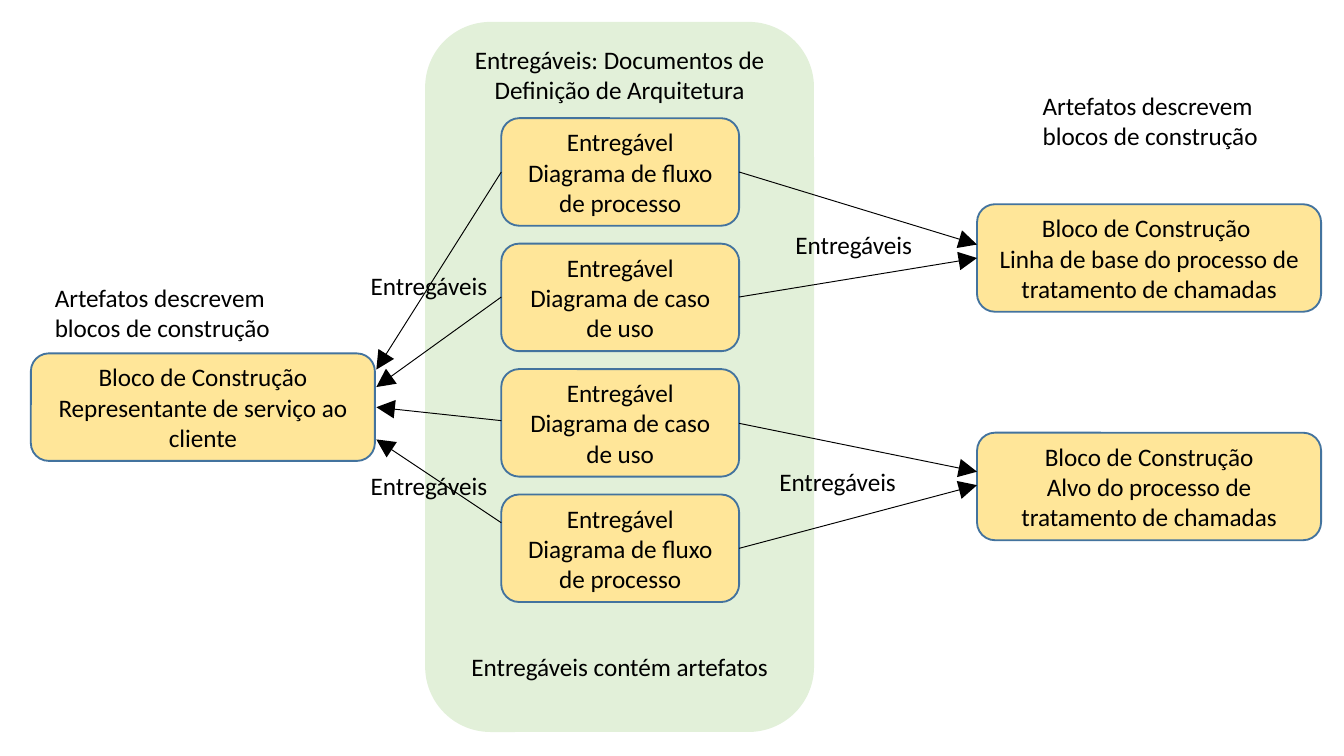
"""Build a slide relating architecture deliverables to building blocks."""
from lxml import etree
from pptx import Presentation
from pptx.dml.color import RGBColor
from pptx.enum.shapes import MSO_CONNECTOR, MSO_SHAPE
from pptx.enum.text import MSO_ANCHOR, MSO_AUTO_SIZE, PP_ALIGN
from pptx.oxml.ns import qn
from pptx.util import Inches, Pt

ROUNDED = MSO_SHAPE.ROUNDED_RECTANGLE
STRAIGHT = MSO_CONNECTOR.STRAIGHT
TOP, MIDDLE = MSO_ANCHOR.TOP, MSO_ANCHOR.MIDDLE
LEFT, CENTER = PP_ALIGN.LEFT, PP_ALIGN.CENTER
GROW = MSO_AUTO_SIZE.SHAPE_TO_FIT_TEXT

GREEN = RGBColor(0xE2, 0xF0, 0xD9)
YELLOW = RGBColor(0xFF, 0xE6, 0x99)
BLUE = RGBColor(0x43, 0x73, 0x9E)
BLACK = RGBColor(0, 0, 0)

SLIDE_WIDTH = 10
SLIDE_HEIGHT = SLIDE_WIDTH * 9 / 16

PANEL = (3.17, 0.17, 2.88, 5.27)
PANEL_TITLE = "Entregáveis: Documentos de Definição de Arquitetura"

FLOW = "Diagrama de fluxo de processo"
USE_CASE = "Diagrama de caso de uso"
ARTIFACTS = [FLOW, USE_CASE, USE_CASE, FLOW]

BLOCKS = [
    (0.23, 2.63, "Bloco de Construção", "Representante de serviço ao cliente"),
    (7.27, 1.52, "Bloco de Construção ",
     "Linha de base do processo de tratamento de chamadas"),
    (7.27, 3.22, "Bloco de Construção",
     "Alvo do processo de tratamento de chamadas"),
]

NOTE = ["Artefatos descrevem", "blocos de construção"]
LABEL = ["Entregáveis"]
CAPTIONS = [
    (0.31, 2.05, 1.83, NOTE),
    (7.66, 0.62, 1.83, NOTE),
    (3.41, 4.8, 2.44, ["Entregáveis contém artefatos"]),
    (2.66, 1.96, 1.09, LABEL),
    (5.82, 1.66, 1.09, LABEL),
    (5.7, 3.42, 1.09, LABEL),
    (2.66, 3.45, 1.09, LABEL),
]

ARTIFACT_LEFT, ARTIFACT_WIDTH = 3.73, 1.77
FIRST_TOP, LAST_TOP = 0.88, 3.68
ARTIFACT_STEP = (LAST_TOP - FIRST_TOP) / (len(ARTIFACTS) - 1)
BLOCK_WIDTH, BOX_HEIGHT = 2.56, 0.8
ARTIFACT_RIGHT = ARTIFACT_LEFT + ARTIFACT_WIDTH
LEFT_TARGET, RIGHT_TARGET = 2.8, 7.27
RIGHT_ARROWS = [(1.28, 1.82), (2.21, 1.92), (3.15, 3.51), (4.08, 3.61)]
LEFT_ARROWS = [(1.28, 2.75), (2.21, 2.88), (3.13, 3.03), (3.89, 3.27)]


def write(shape, lines, alignment, anchor):
    frame = shape.text_frame
    frame.vertical_anchor = anchor
    for index, line in enumerate(lines):
        paragraph = frame.add_paragraph() if index else frame.paragraphs[0]
        paragraph.alignment = alignment
        run = paragraph.add_run()
        run.text = line
        run.font.name = "Calibri"
        run.font.size = Pt(13.5)
        run.font.color.rgb = BLACK


def add_box(slide, bounds, fill, outline, lines, anchor=MIDDLE):
    shape = slide.shapes.add_shape(ROUNDED, *map(Inches, bounds))
    shape.shadow.inherit = False
    shape.fill.solid()
    shape.fill.fore_color.rgb = fill
    shape.line.color.rgb = outline
    shape.line.width = Pt(1)
    shape.text_frame.word_wrap = True
    write(shape, lines, CENTER, anchor)
    return shape


def add_caption(slide, left, top, width, lines):
    height = 0.1 + 0.23 * len(lines)
    box = slide.shapes.add_textbox(*map(Inches, (left, top, width, height)))
    box.text_frame.word_wrap = False
    box.text_frame.auto_size = GROW
    write(box, lines, LEFT, TOP)


def add_arrow(slide, *ends):
    arrow = slide.shapes.add_connector(STRAIGHT, *map(Inches, ends))
    arrow.line.color.rgb = BLACK
    arrow.line.width = Pt(0.5)
    properties = arrow.element.spPr
    etree.SubElement(properties.find(qn("a:ln")), qn("a:tailEnd"),
                     type="triangle", w="lg", len="lg")
    etree.SubElement(properties, qn("a:effectLst"))


def main():
    presentation = Presentation()
    presentation.slide_width = Inches(SLIDE_WIDTH)
    presentation.slide_height = Inches(SLIDE_HEIGHT)
    slide = presentation.slides.add_slide(presentation.slide_layouts[6])

    panel = add_box(slide, PANEL, GREEN, GREEN, [PANEL_TITLE], TOP)
    panel.text_frame.margin_top = Inches(0.02)
    for index, name in enumerate(ARTIFACTS):
        top = FIRST_TOP + index * ARTIFACT_STEP
        bounds = (ARTIFACT_LEFT, top, ARTIFACT_WIDTH, BOX_HEIGHT)
        add_box(slide, bounds, YELLOW, BLUE, ["Entregável", name])
    for left, top, *lines in BLOCKS:
        bounds = (left, top, BLOCK_WIDTH, BOX_HEIGHT)
        add_box(slide, bounds, YELLOW, BLUE, lines)
    for start, end in RIGHT_ARROWS:
        add_arrow(slide, ARTIFACT_RIGHT, start, RIGHT_TARGET, end)
    for start, end in LEFT_ARROWS:
        add_arrow(slide, ARTIFACT_LEFT, start, LEFT_TARGET, end)
    for caption in CAPTIONS:
        add_caption(slide, *caption)

    presentation.save("out.pptx")


if __name__ == "__main__":
    main()
